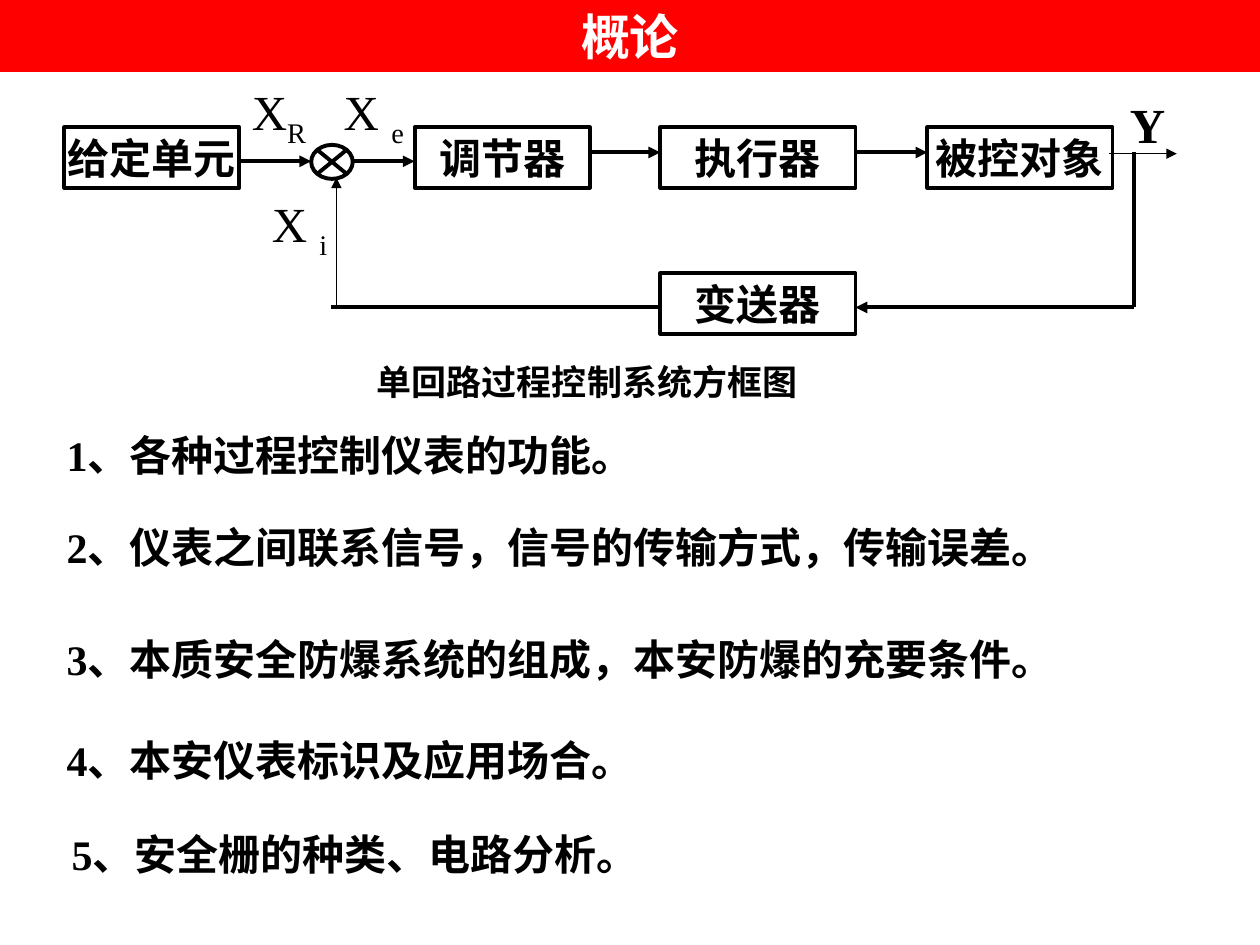
"""Build a slide on a single-loop process control system."""
import pptx
import pptx.dml.color
import pptx.enum.shapes
import pptx.enum.text
import pptx.oxml.ns
import pptx.util
from lxml import etree

Inches = pptx.util.Inches
Pt = pptx.util.Pt
RGBColor = pptx.dml.color.RGBColor
ALIGN = pptx.enum.text.PP_ALIGN
ANCHOR = pptx.enum.text.MSO_ANCHOR
SHAPE = pptx.enum.shapes.MSO_SHAPE
qn = pptx.oxml.ns.qn

RED = RGBColor(0xFF, 0x00, 0x00)
WHITE = RGBColor(0xFF, 0xFF, 0xFF)
BLACK = RGBColor(0x00, 0x00, 0x00)
FONT = "Times New Roman"
THICK, THIN = 2.25, 0.75
BLOCK_HEIGHT = 0.48

BLOCKS = [
    ("给定单元", 0.51, 1.01, 1.39),
    ("调节器", 3.29, 1.01, 1.39),
    ("执行器", 5.24, 1.01, 1.55),
    ("被控对象", 7.36, 1.01, 1.47),
    ("变送器", 5.24, 2.17, 1.55),
]
LINES = [
    ((1.9, 1.28), (2.47, 1.28), THICK, True),
    ((2.8, 1.28), (3.29, 1.28), THICK, True),
    ((4.67, 1.21), (5.24, 1.21), THICK, True),
    ((6.79, 1.21), (7.36, 1.21), THICK, True),
    ((9, 1.21), (9, 2.44), THICK, False),
    ((9, 2.44), (6.79, 2.44), THICK, True),
    ((5.24, 2.44), (2.63, 2.44), THICK, False),
    ((2.67, 2.44), (2.67, 1.41), THIN, True),
    ((8.8, 1.22), (9.34, 1.22), THIN, True),
]
SIGNALS = [("X", "R", 1.9, 0.6), ("X ", "i", 2.06, 1.49), ("X ", "e", 2.63, 0.6)]
TOPICS = [
    ("1、各种过程控制仪表的功能。", 0.43, 3.36, 7.41),
    ("2、仪表之间联系信号，信号的传输方式，传输误差。", 0.43, 4.09, 8.27),
    ("3、本质安全防爆系统的组成，本安防爆的充要条件。", 0.43, 4.98, 9.29),
    ("4、本安仪表标识及应用场合。", 0.43, 5.78, 9.29),
    ("5、安全栅的种类、电路分析。", 0.47, 6.53, 7.24),
]


def style(para, size, color=BLACK, bold=True):
    """Set the font of a paragraph."""
    para.font.name = FONT
    para.font.size = Pt(size)
    para.font.bold = bold
    para.font.color.rgb = color


def add_title(page, text):
    """Turn the title placeholder into the red banner."""
    title = page.shapes.title
    title.left, title.top = Inches(0), Inches(0)
    title.width, title.height = Inches(10), Inches(0.57)
    title.fill.solid()
    title.fill.fore_color.rgb = RED
    frame = title.text_frame
    frame.text = text
    frame.auto_size = pptx.enum.text.MSO_AUTO_SIZE.NONE
    frame.vertical_anchor = ANCHOR.TOP
    frame.paragraphs[0].alignment = ALIGN.CENTER
    style(frame.paragraphs[0], 28, WHITE)


def add_text(page, text, left, top, width, height=0.5, size=24, bold=True):
    """Add a wrapped one-paragraph text box."""
    box = page.shapes.add_textbox(Inches(left), Inches(top), Inches(width), Inches(height))
    box.text_frame.word_wrap = True
    para = box.text_frame.paragraphs[0]
    para.add_run().text = text
    style(para, size, bold=bold)
    return box


def add_signal(page, symbol, index, left, top):
    """Add a signal symbol with a subscript."""
    box = add_text(page, symbol, left, top, 0.73, 0.63, 28, False)
    span = box.text_frame.paragraphs[0].add_run()
    span.text = index
    span.font._element.set("baseline", "-25000")


def add_outline(page, kind, left, top, width, height):
    """Add an unfilled preset shape with a black outline."""
    shape = page.shapes.add_shape(kind, Inches(left), Inches(top), Inches(width), Inches(height))
    shape.shadow.inherit = False
    shape.fill.background()
    shape.line.color.rgb = BLACK
    shape.line.width = Pt(THICK)
    return shape


def add_block(page, text, left, top, width):
    """Add a labelled block of the diagram."""
    frame = add_outline(page, SHAPE.RECTANGLE, left, top, width, BLOCK_HEIGHT).text_frame
    frame.text = text
    frame.word_wrap = False
    frame.vertical_anchor = ANCHOR.MIDDLE
    frame.paragraphs[0].alignment = ALIGN.CENTER
    style(frame.paragraphs[0], 24)


def add_line(page, start, end, weight, arrow):
    """Add a straight line, with an arrowhead at its end if asked."""
    line = page.shapes.add_connector(
        pptx.enum.shapes.MSO_CONNECTOR.STRAIGHT, *map(Inches, start + end))
    line.line.color.rgb = BLACK
    line.line.width = Pt(weight)
    if arrow:
        etree.SubElement(line.line._get_or_add_ln(), qn("a:tailEnd"), type="triangle")
    etree.SubElement(line._element.spPr, qn("a:effectLst"))


def main():
    """Build and save the deck."""
    deck = pptx.Presentation()
    deck.slide_width, deck.slide_height = Inches(10), Inches(7.5)
    page = deck.slides.add_slide(deck.slide_layouts[5])
    add_title(page, "概论")
    for block in BLOCKS:
        add_block(page, *block)
    add_outline(page, SHAPE.FLOWCHART_SUMMING_JUNCTION, 2.47, 1.15, 0.33, 0.27)
    for line in LINES:
        add_line(page, *line)
    for signal in SIGNALS:
        add_signal(page, *signal)
    add_text(page, "Y", 8.87, 0.7, 0.73, 0.57, 28)
    caption = add_text(page, "单回路过程控制系统方框图", 2.64, 2.81, 5.67, 0.44, 20)
    caption.text_frame.margin_left = Inches(0.35)
    for topic in TOPICS:
        add_text(page, *topic)
    deck.save("out.pptx")


if __name__ == "__main__":
    main()
